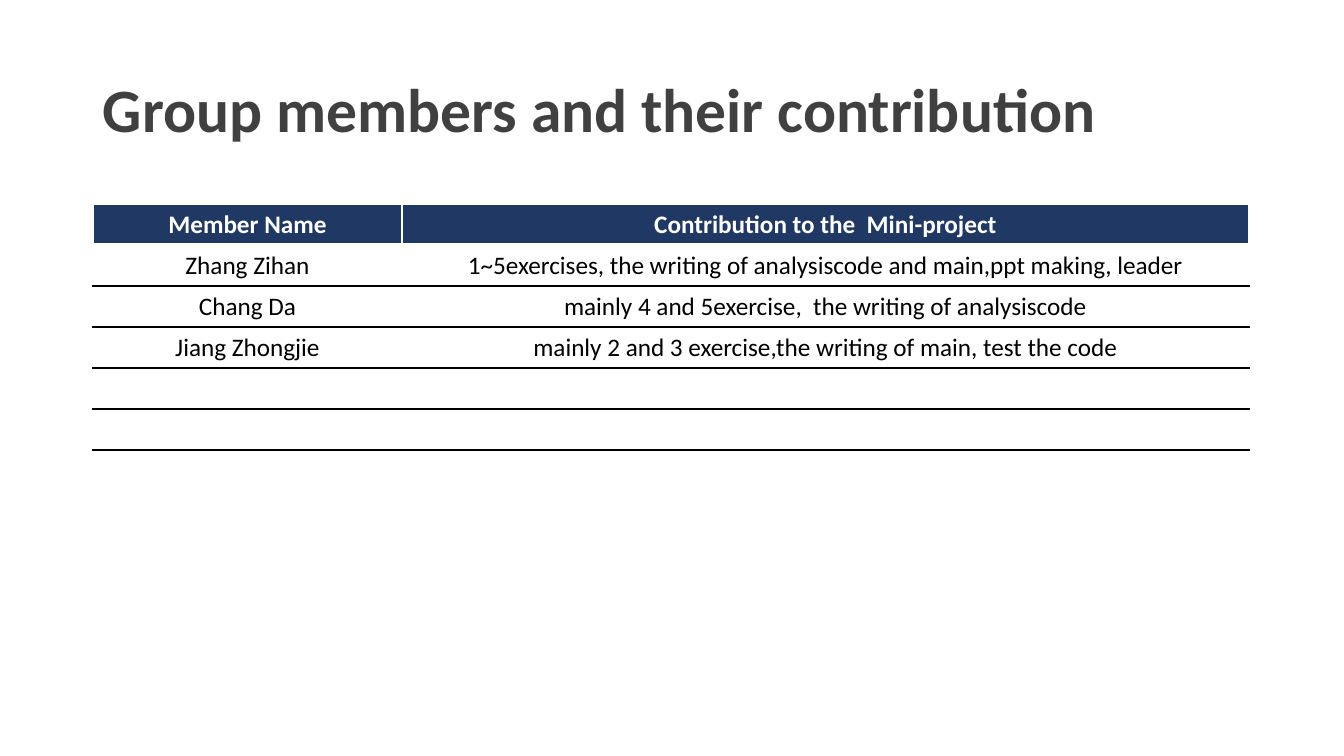
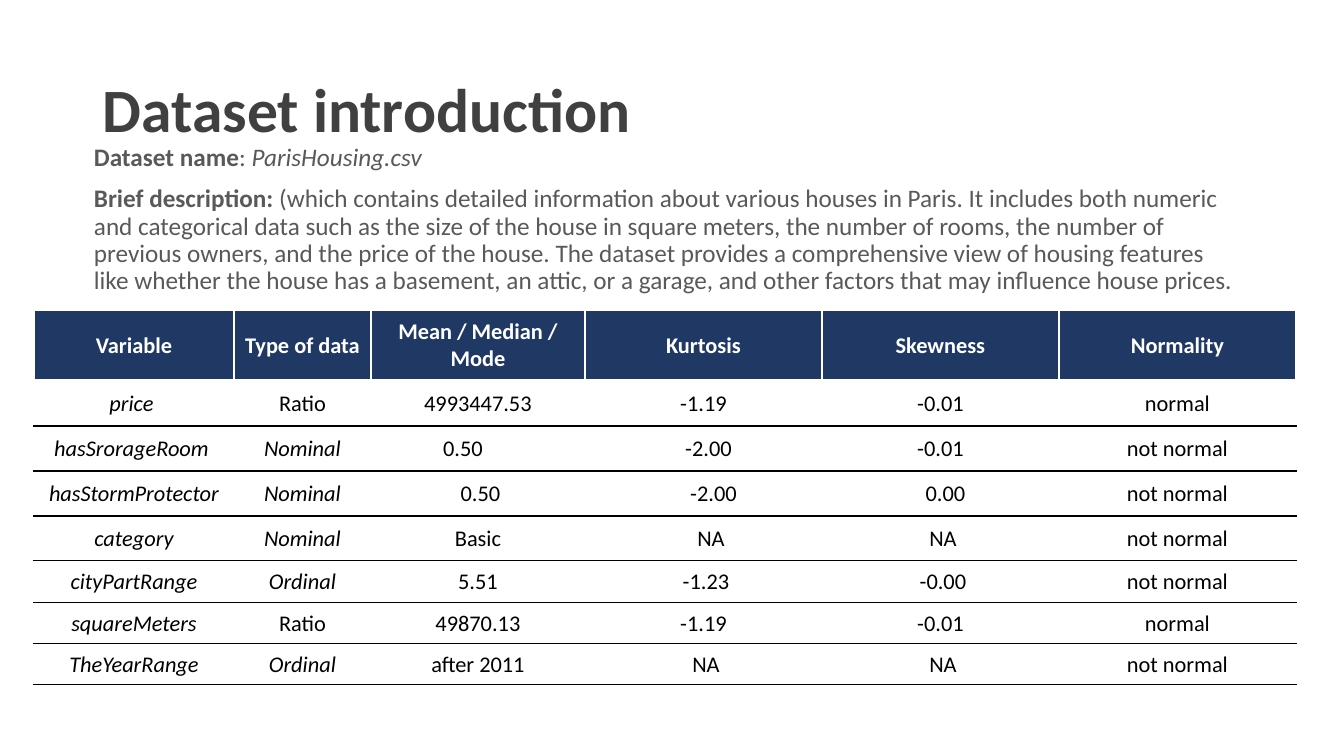
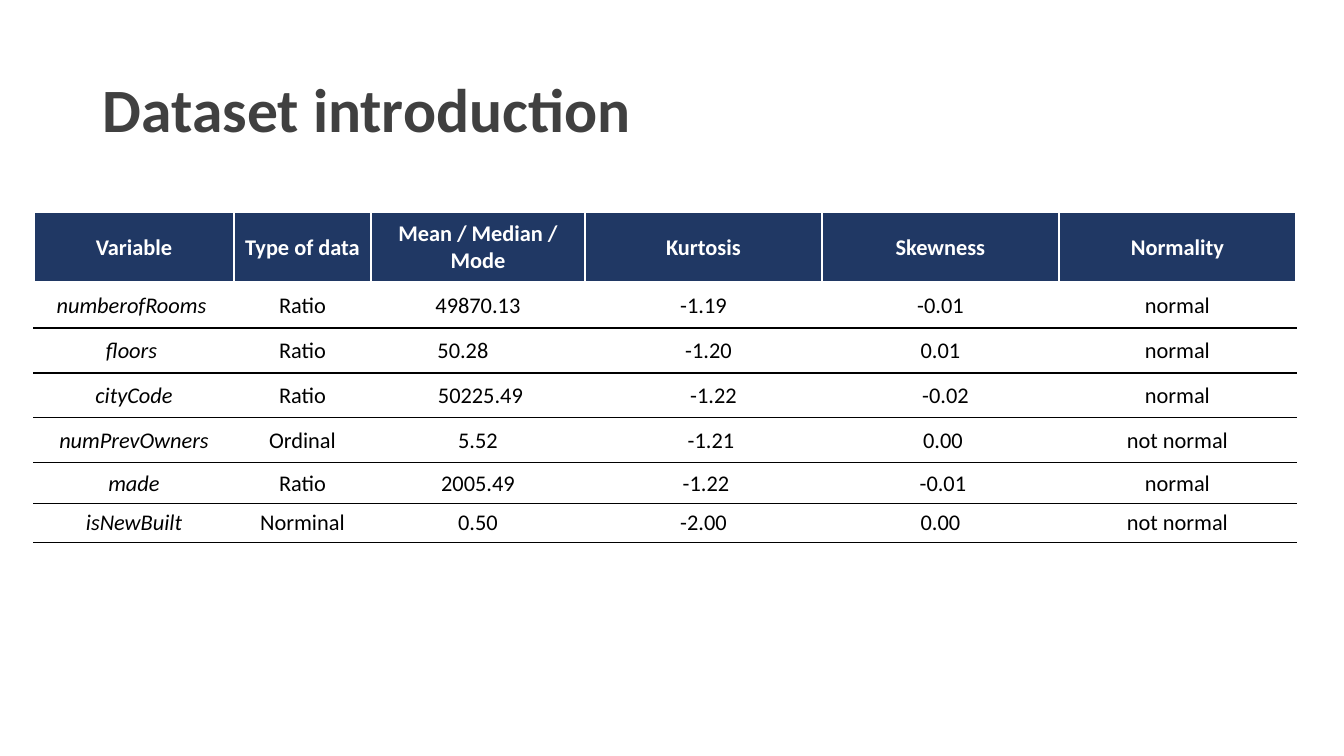
"""Build three slides on a group's members and its housing dataset."""
from dataclasses import dataclass

from lxml.etree import SubElement
from pptx import Presentation
from pptx.dml.color import RGBColor
from pptx.enum.text import MSO_ANCHOR as Anchor, PP_ALIGN as Align
from pptx.oxml.ns import qn
from pptx.util import Emu, Pt


@dataclass(frozen=True)
class Theme:
    """Colours, font and type sizes of all slides."""
    font: str = "Calibri"
    title: str = "404040"
    prose: str = "595959"
    navy: str = "203864"
    white: str = "FFFFFF"
    black: str = "000000"
    title_size: int = 44
    prose_size: int = 18
    member_size: int = 18
    variable_size: int = 16


THEME = Theme()
PX = 914400 / 100.8
SLIDE_SIZE = (1344, 756)
TITLE_BOX = (93, 40, 1159, 146)
DESCRIPTION_BOX = (84, 140, 1167, 108)
CELL_MARGIN = 10
NUDGE = 5
MEMBER_COLUMNS = [309, 847]
VARIABLE_COLUMNS = [200, 137, 214, 237, 237, 237]
VARIABLE_HEADER = ("Variable", "Type of data", "Mean / Median / Mode",
                   "Kurtosis", "Skewness", "Normality")

MEMBERS = [
    ("Member Name", "Contribution to the  Mini-project"),
    ("Zhang Zihan", "1~5exercises, the writing of analysiscode and main,ppt making, leader"),
    ("Chang Da", "mainly 4 and 5exercise,  the writing of analysiscode"),
    ("Jiang Zhongjie", "mainly 2 and 3 exercise,the writing of main, test the code"),
    ("", ""),
    ("", ""),
]
HOUSE_VARIABLES = [
    VARIABLE_HEADER,
    (("price", -1), "Ratio", "4993447.53", "-1.19", "-0.01", "normal"),
    (("hasSrorageRoom", -1), "Nominal", ("0.50", -6), ("-2.00", 2), "-0.01", "not normal"),
    ("hasStormProtector", "Nominal", ("0.50", 1), ("-2.00", 4), ("0.00", 2), "not normal"),
    ("category", "Nominal", "Basic", ("NA", 3), ("NA", 1), "not normal"),
    ("cityPartRange", "Ordinal", "5.51", ("-1.23", 1), ("-0.00", 1), "not normal"),
    ("squareMeters", "Ratio", "49870.13", "-1.19", "-0.01", "normal"),
    ("TheYearRange", "Ordinal", "after 2011", ("NA", 1), ("NA", 1), "not normal"),
]
MORE_VARIABLES = [
    VARIABLE_HEADER,
    (("numberofRooms", -1), "Ratio", "49870.13", "-1.19", "-0.01", "normal"),
    (("floors", -1), "Ratio", ("50.28", -6), ("-1.20", 2), "0.01", "normal"),
    ("cityCode", "Ratio", ("50225.49", 1), ("-1.22", 4), ("-0.02", 2), "normal"),
    ("numPrevOwners", "Ordinal", "5.52", ("-1.21", 3), ("0.00", 1), "not normal"),
    ("made", "Ratio", "2005.49", ("-1.22", 1), ("-0.01", 1), "normal"),
    ("isNewBuilt", "Norminal", "0.50", "-2.00", "0.00", "not normal"),
]
DESCRIPTION = [
    [("Dataset name", "bold"), (": ", ""), ("ParisHousing.csv", "italic")],
    [("Brief description: ", "bold"),
     ("(which contains detailed information about various houses in Paris. "
      "It includes both numeric and categorical data such as the size of the house "
      "in square meters, the number of rooms, the number of previous owners, and the "
      "price of the house. The dataset provides a comprehensive view of housing "
      "features like whether the house has a basement, an attic, or a garage, and "
      "other factors that may influence house prices.", "")],
]
SLIDES = [
    dict(title="Group members and their contribution", description=[],
         rows=MEMBERS, origin=(93, 204), columns=MEMBER_COLUMNS,
         heights=[41] * 6, size=THEME.member_size, italic_columns=0),
    dict(title="Dataset introduction", description=DESCRIPTION,
         rows=HOUSE_VARIABLES, origin=(34, 310), columns=VARIABLE_COLUMNS,
         heights=[71, 45, 45, 45, 45, 42, 41, 41],
         size=THEME.variable_size, italic_columns=2),
    dict(title="Dataset introduction", description=[],
         rows=MORE_VARIABLES, origin=(34, 212), columns=VARIABLE_COLUMNS,
         heights=[71, 45, 45, 45, 45, 41, 39],
         size=THEME.variable_size, italic_columns=1),
]


def px(length):
    return Emu(round(length * PX))


def add_run(paragraph, text, size, color, style=""):
    run = paragraph.add_run()
    run.text = text
    run.font.name = THEME.font
    run.font.size = Pt(size)
    run.font.color.rgb = RGBColor.from_string(color)
    run.font.bold = style == "bold"
    run.font.italic = style == "italic"


def add_text(slide, box, paragraphs, size, color, anchor=Anchor.TOP, before=0):
    frame = slide.shapes.add_textbox(*map(px, box)).text_frame
    frame.word_wrap = True
    frame.vertical_anchor = anchor
    for index, runs in enumerate(paragraphs):
        paragraph = frame.add_paragraph() if index else frame.paragraphs[0]
        paragraph.line_spacing = 0.9
        paragraph.space_before = Pt(before)
        for text, style in runs:
            add_run(paragraph, text, size, color, style)


def set_borders(cell, top, bottom, bottom_width):
    properties = cell._tc.get_or_add_tcPr()
    sides = [("L", THEME.white, 1), ("R", THEME.white, 1),
             ("T", top, 1), ("B", bottom, bottom_width)]
    for side, color, width in sides:
        line = SubElement(properties, qn(f"a:ln{side}"), w=str(Pt(width)))
        fill = SubElement(line, qn("a:solidFill"))
        SubElement(fill, qn("a:srgbClr"), val=color)


def fill_cell(cell, content, row, size, italic):
    text, nudge = content if isinstance(content, tuple) else (content, 0)
    header = row == 0
    set_borders(cell, THEME.white if row < 2 else THEME.black,
                THEME.white if header else THEME.black, 3 if header else 1)
    cell.fill.solid()
    cell.fill.fore_color.rgb = RGBColor.from_string(THEME.navy if header else THEME.white)
    cell.vertical_anchor = Anchor.MIDDLE
    cell.margin_left = px(CELL_MARGIN + NUDGE * max(nudge, 0))
    cell.margin_right = px(CELL_MARGIN + NUDGE * max(-nudge, 0))
    paragraph = cell.text_frame.paragraphs[0]
    paragraph.alignment = Align.CENTER
    if text:
        style = "bold" if header else "italic" if italic else ""
        add_run(paragraph, text, size, THEME.white if header else THEME.black, style)


def add_grid(slide, rows, origin, columns, heights, size, italic_columns):
    box = (*origin, sum(columns), sum(heights))
    table = slide.shapes.add_table(len(rows), len(columns), *map(px, box)).table
    table.horz_banding = False
    for column, width in zip(table.columns, columns):
        column.width = px(width)
    for row, height in zip(table.rows, heights):
        row.height = px(height)
    for r, contents in enumerate(rows):
        for c, content in enumerate(contents):
            italic = c < italic_columns and content != "Ratio"
            fill_cell(table.cell(r, c), content, r, size, italic)


def main():
    deck = Presentation()
    deck.slide_width, deck.slide_height = map(px, SLIDE_SIZE)
    for page in SLIDES:
        slide = deck.slides.add_slide(deck.slide_layouts[6])
        add_text(slide, TITLE_BOX, [[(page["title"], "bold")]],
                 THEME.title_size, THEME.title, Anchor.MIDDLE)
        add_grid(slide, page["rows"], page["origin"], page["columns"],
                 page["heights"], page["size"], page["italic_columns"])
        if page["description"]:
            add_text(slide, DESCRIPTION_BOX, page["description"],
                     THEME.prose_size, THEME.prose, before=10)
    deck.save("out.pptx")


if __name__ == "__main__":
    main()
